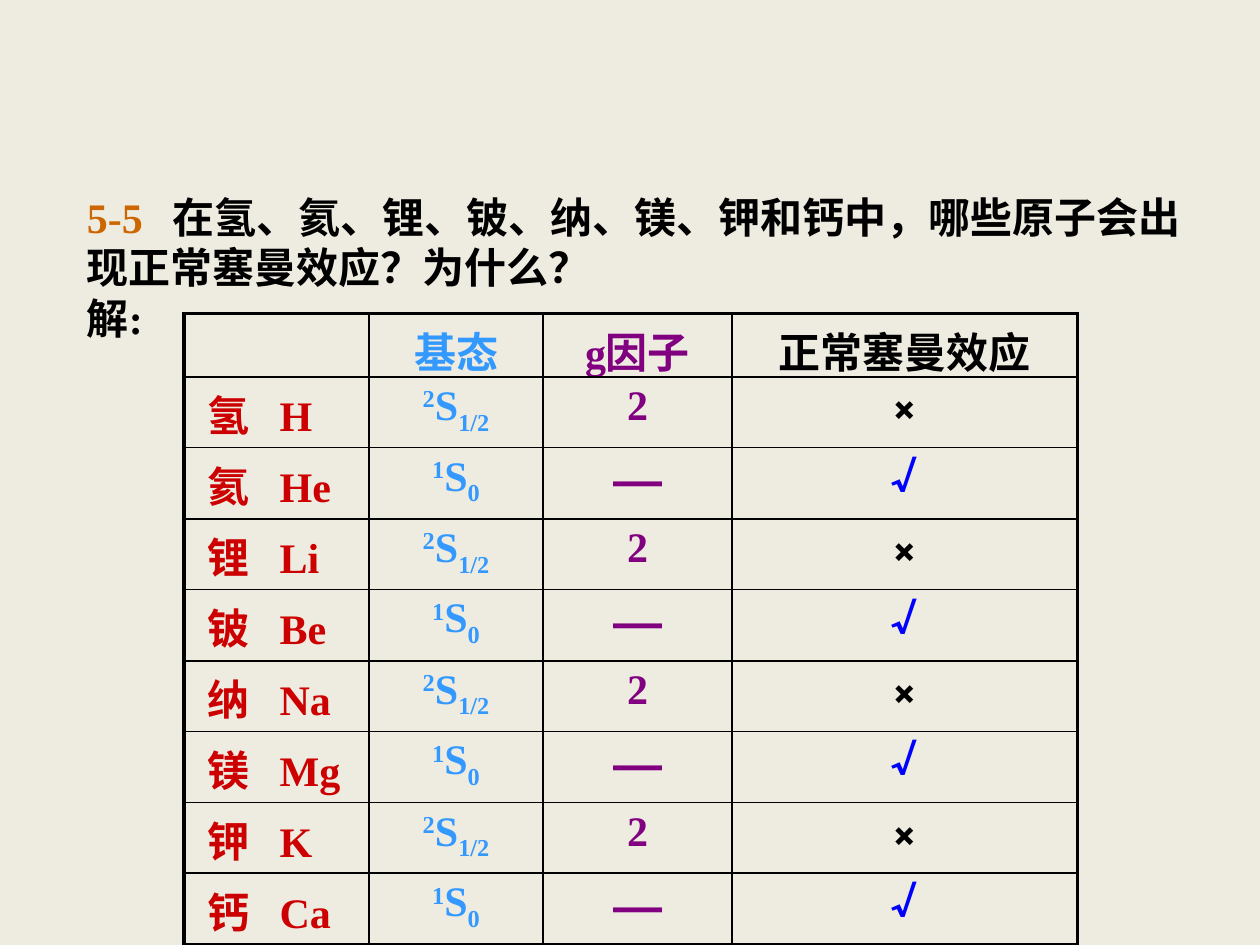
from typing import NamedTuple

from lxml import etree
from pptx import Presentation
from pptx.dml.color import RGBColor
from pptx.enum.text import MSO_ANCHOR, MSO_AUTO_SIZE, PP_ALIGN
from pptx.oxml.ns import qn
from pptx.util import Pt

LEFT, CENTER = PP_ALIGN.LEFT, PP_ALIGN.CENTER
MIDDLE = MSO_ANCHOR.MIDDLE
GROW = MSO_AUTO_SIZE.SHAPE_TO_FIT_TEXT

BACKGROUND = RGBColor(0xEE, 0xEC, 0xE1)
BLACK = RGBColor(0, 0, 0)
ORANGE = RGBColor(0xCC, 0x66, 0x00)
SKY = RGBColor(0x33, 0x99, 0xFF)
PURPLE = RGBColor(0x80, 0, 0x80)
RED = RGBColor(0xCC, 0, 0)
BLUE = RGBColor(0, 0, 0xFF)

SERIF, SANS, MARK = "Times New Roman", "Arial", "Karla"
THIN, THICK = Pt(1), Pt(2.25)
COLUMN_WIDTHS = (Pt(105.8), Pt(99.4), Pt(108), Pt(197.3))
HEADER_HEIGHT, ATOM_HEIGHT = Pt(36), Pt(40.3)
NAME_MARGIN, SYMBOL_TAB, QUESTION_TAB = Pt(13.2), Pt(41.5), Pt(49)


class Piece(NamedTuple):
    text: str
    color: RGBColor
    font: str = SERIF
    size: int = 24
    baseline: int = 0


class Atom(NamedTuple):
    name: str
    symbol: str
    normal_zeeman: bool


ATOMS = (
    Atom("氢", "H", False),
    Atom("氦", "He", True),
    Atom("锂", "Li", False),
    Atom("铍", "Be", True),
    Atom("纳", "Na", False),
    Atom("镁", "Mg", True),
    Atom("钾", "K", False),
    Atom("钙", "Ca", True),
)
HEADINGS = (
    [],
    [Piece("基态", SKY)],
    [Piece("g因子", PURPLE)],
    [Piece("正常塞曼效应", BLACK)],
)


def add_tab_stop(paragraph, position: int) -> None:
    tabs = etree.SubElement(paragraph._p.get_or_add_pPr(), qn("a:tabLst"))
    etree.SubElement(tabs, qn("a:tab"), pos=str(position), algn="l")


def write(paragraph, pieces: list[Piece]) -> None:
    for piece in pieces:
        run = paragraph.add_run()
        run.text = piece.text
        run.font.name = piece.font
        run.font.size = Pt(piece.size)
        run.font.bold = True
        run.font.color.rgb = piece.color
        if piece.baseline:
            run._r.get_or_add_rPr().set("baseline", str(piece.baseline * 1000))


def draw_borders(cell, widths: dict[str, int]) -> None:
    properties = cell._tc.get_or_add_tcPr()
    for position, (side, width) in enumerate(widths.items()):
        line = etree.Element(qn(f"a:ln{side}"), w=str(width))
        fill = etree.SubElement(line, qn("a:solidFill"))
        etree.SubElement(fill, qn("a:srgbClr"), val=str(BLACK))
        properties.insert(position, line)


def atom_cells(atom: Atom) -> tuple[list[Piece], ...]:
    if atom.normal_zeeman:
        multiplicity, momentum = "1", "0"
        factor = Piece("—", PURPLE, SANS, 28)
        verdict = Piece("√", BLUE, MARK)
    else:
        multiplicity, momentum = "2", "1/2"
        factor = Piece("2", PURPLE)
        verdict = Piece("×", BLACK, MARK)
    ground_state = [
        Piece(multiplicity, SKY, baseline=30),
        Piece("S", SKY),
        Piece(momentum, SKY, baseline=-25),
    ]
    return [Piece(f"{atom.name}\t{atom.symbol}", RED)], ground_state, [factor], [verdict]


def add_question(slide) -> None:
    question = slide.shapes.add_textbox(Pt(42.5), Pt(105.8), Pt(646.6), Pt(93.6))
    frame = question.text_frame
    frame.word_wrap = True
    frame.auto_size = GROW
    frame.vertical_anchor = MIDDLE
    add_tab_stop(frame.paragraphs[0], QUESTION_TAB)
    write(frame.paragraphs[0], [
        Piece("5-5\t", ORANGE),
        Piece("在氢、氦、锂、铍、纳、镁、钾和钙中，哪些原子会出现正常塞曼效应？为什么？", BLACK),
    ])
    write(frame.add_paragraph(), [Piece("解:", BLACK)])


def add_answer(slide) -> None:
    contents = [HEADINGS, *map(atom_cells, ATOMS)]
    last_row, last_column = len(contents) - 1, len(COLUMN_WIDTHS) - 1
    height = HEADER_HEIGHT + ATOM_HEIGHT * len(ATOMS)
    answer = slide.shapes.add_table(
        len(contents), len(COLUMN_WIDTHS), Pt(105.1), Pt(179.3), sum(COLUMN_WIDTHS), height
    ).table
    answer.first_row = False
    answer.horz_banding = False
    for column, width in zip(answer.columns, COLUMN_WIDTHS):
        column.width = width
    for r, row_contents in enumerate(contents):
        answer.rows[r].height = ATOM_HEIGHT if r else HEADER_HEIGHT
        for c, pieces in enumerate(row_contents):
            cell = answer.cell(r, c)
            cell.fill.background()
            draw_borders(cell, {
                "L": THIN if c else THICK,
                "R": THICK if c == last_column else THIN,
                "T": THIN if r else THICK,
                "B": THICK if r == last_row else THIN,
            })
            paragraph = cell.text_frame.paragraphs[0]
            paragraph.alignment = CENTER if c else LEFT
            if c == 0:
                cell.margin_left = NAME_MARGIN
                add_tab_stop(paragraph, SYMBOL_TAB)
            write(paragraph, pieces)


def main() -> None:
    presentation = Presentation()
    presentation.slide_width, presentation.slide_height = Pt(720), Pt(540)
    slide = presentation.slides.add_slide(presentation.slide_layouts[6])
    slide.background.fill.solid()
    slide.background.fill.fore_color.rgb = BACKGROUND
    add_question(slide)
    add_answer(slide)
    presentation.save("out.pptx")


if __name__ == "__main__":
    main()
